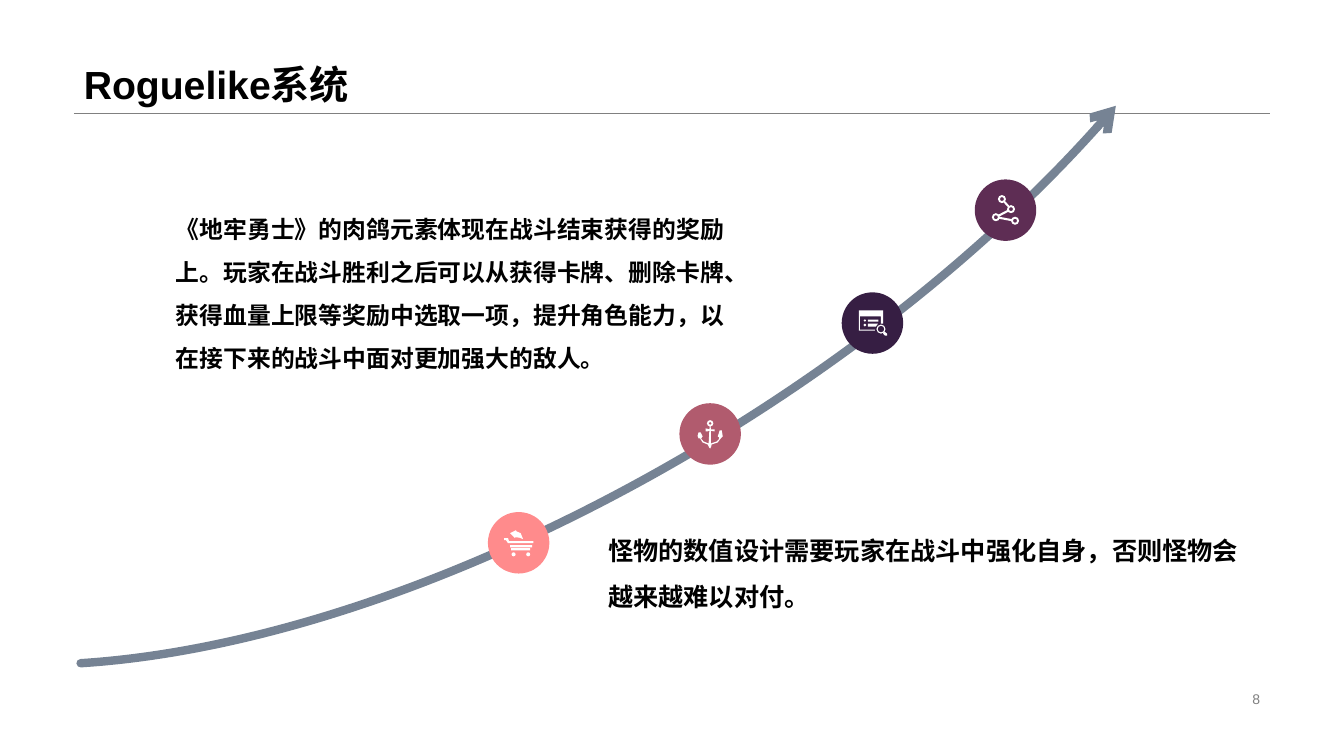
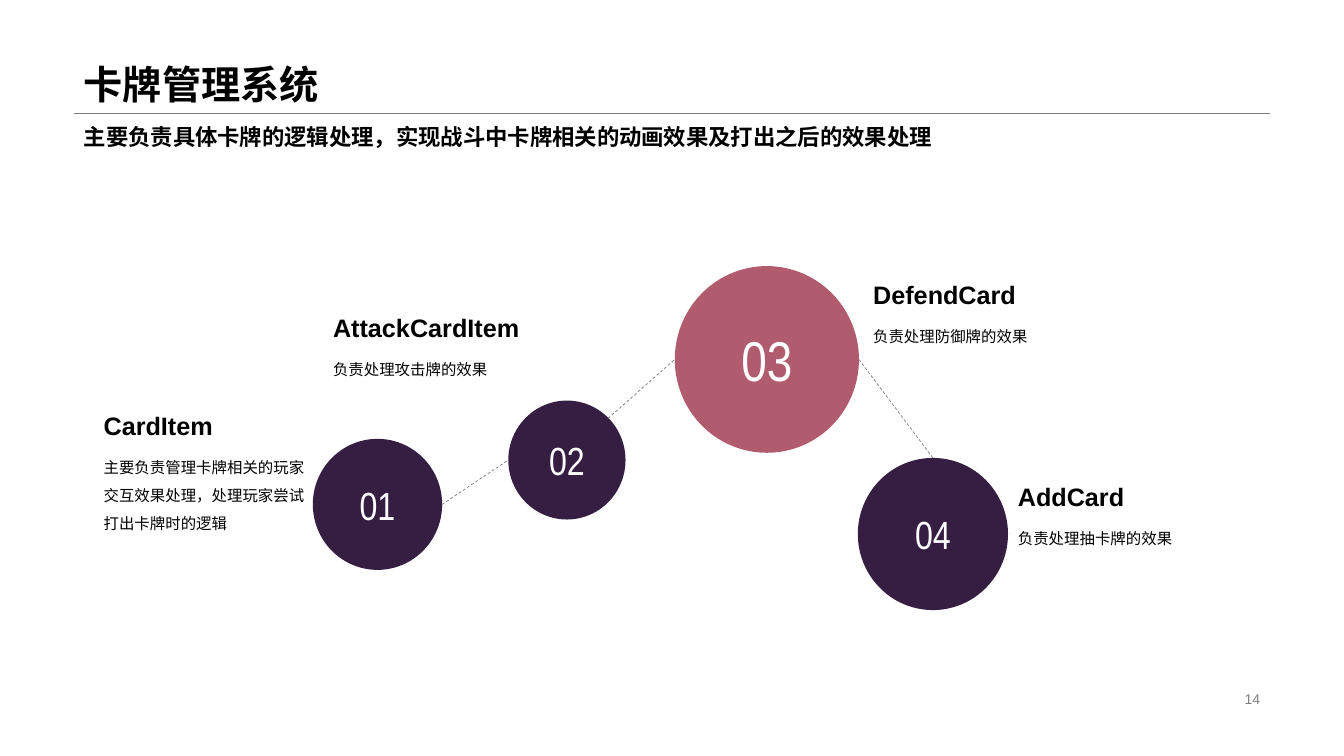
from lxml.etree import SubElement
from pptx import Presentation
from pptx.dml.color import RGBColor
from pptx.enum.dml import MSO_LINE
from pptx.enum.lang import MSO_LANGUAGE_ID
from pptx.enum.shapes import MSO_CONNECTOR, MSO_SHAPE
from pptx.enum.text import MSO_ANCHOR, PP_ALIGN
from pptx.oxml.ns import qn
from pptx.util import Inches, Pt

# Theme: colours and type styles
C = {name: RGBColor.from_string(value) for name, value in {
    "ink": "000000", "white": "FFFFFF", "gray": "808080", "slate": "768394",
    "plum": "5E2D54", "night": "361E43", "rose": "B15B6E", "coral": "FF8B8C"}.items()}
THEME = {
    "title": {"size": Pt(28), "bold": True, "color": "ink", "name": "Arial"},
    "subtitle": {"size": Pt(16), "bold": True, "color": "ink", "name": "Arial"},
    "lead": {"size": Pt(18), "bold": True, "color": "ink", "name": "Arial"},
    "body": {"size": Pt(17), "bold": True, "color": "ink", "name": "Arial"},
    "small": {"size": Pt(11), "color": "ink", "name": "Arial"},
    "footer": {"size": Pt(10), "color": "gray", "name": "Arial"},
    "number": {"size": Pt(28), "color": "white", "name": "Arial Narrow"},
    "big number": {"size": Pt(40), "color": "white", "name": "Arial Narrow"},
}

# Grid: 75 rows of square cells
prs = Presentation()
prs.slide_width, prs.slide_height = Inches(13.333), Inches(7.5)
CELL = prs.slide_height // 75
LEFT, RIGHT, RULE = 7.33, 126, 11.2


def write(sp, text, style, **paragraph):
    """Fill a shape, or a new box when sp is (slide, box), with one paragraph."""
    if isinstance(sp, tuple):
        s, box = sp
        sp = s.shapes.add_textbox(*(round(v * CELL) for v in box))
    tf = sp.text_frame
    tf.word_wrap = True
    p = tf.paragraphs[0]
    for key, value in paragraph.items():
        setattr(p, key, value)
    r = p.add_run()
    r.text = text
    r.font.language_id = MSO_LANGUAGE_ID.SIMPLIFIED_CHINESE
    for key, value in THEME[style].items():
        if key == "color":
            r.font.color.rgb = C[value]
        else:
            setattr(r.font, key, value)
    return tf


def trace(s, contours, close=True):
    """Draw one outline from (points, curved) contours; curved ones are cubics."""
    fb = None
    for points, _ in contours:
        pts = [(round(x * CELL), round(y * CELL)) for x, y in points]
        if fb is None:
            fb = s.shapes.build_freeform(*pts[0])
        else:
            fb.move_to(*pts[0])
        fb.add_line_segments(pts[1:], close=close)
    sp = fb.convert_to_shape()
    sp.shadow.inherit = False
    outline = next(sp._element.iter(qn("a:path")))
    contour = -1
    for step in list(outline):
        if step.tag == qn("a:moveTo"):
            contour, cubic = contour + 1, None
        elif step.tag == qn("a:lnTo") and contours[contour][1]:
            if cubic is None or len(cubic) == 3:
                cubic = SubElement(outline, qn("a:cubicBezTo"))
                step.addprevious(cubic)
            cubic.append(step[0])
            outline.remove(step)
    return sp


# Shared frame: title, rule and page number
slides = []
for title, page in (("Roguelike系统", "8"), ("卡牌管理系统", "14")):
    s = prs.slides.add_slide(prs.slide_layouts[6])
    ln = s.shapes.add_connector(MSO_CONNECTOR.STRAIGHT, *(
        round(v * CELL) for v in (LEFT, RULE, RIGHT, RULE)))
    ln.line.color.rgb, ln.line.width = C["gray"], Pt(0.25)
    SubElement(ln._element.spPr, qn("a:effectLst"))
    tf = write((s, (LEFT, 0, RIGHT - LEFT, RULE)), title, "title", line_spacing=0.9)
    tf.vertical_anchor = MSO_ANCHOR.BOTTOM
    tf = write((s, (94.2, 68.2, 31.8, 2.3)), page, "footer", alignment=PP_ALIGN.RIGHT)
    tf.vertical_anchor = MSO_ANCHOR.MIDDLE
    slides.append(s)

# Slide 1: growth curve
s = slides[0]
curve = [(110.7, 10.5), (85.9, 39.5), (41, 63.7), (8, 65.8)]
sp = trace(s, [(curve, True)], close=False)
sp.fill.background()
sp.line.color.rgb, sp.line.width = C["slate"], Pt(6)
ln = sp.line._get_or_add_ln()
ln.set("cap", "rnd")
SubElement(ln, qn("a:round"))
SubElement(ln, qn("a:headEnd"), type="arrow")

# Milestones: centre, colour, icon polygons and icon circles (x, y, radius),
# the icon in tenths of a cell from the centre; a circle in a circle is a hole
milestones = [
    ((99.75, 20.85), "plum",
     [[(-0.1, -8.7), (3.5, -4.7), (2.1, -3.3), (-1.5, -7.3)],
      [(2.5, 1.8), (-5.5, 6), (-6.5, 4.2), (1.5, 0)],
      [(-5.8, 8.7), (5.4, 10.8), (5.8, 8.8), (-5.4, 6.7)]],
     [(x, y, r) for x, y in ((-3.5, -11), (5.5, -1), (-9.5, 7), (9.5, 10.5))
      for r in (4, 2)]),
    ((86.55, 32.05), "night",
     [[(-13.5, -12.5), (10.5, -12.5), (10.5, 0.5), (8.5, 0.5), (8.5, -6.5),
       (-12.5, -6.5), (-12.5, 6.5), (2.5, 6.5), (2.5, 7.5), (-13.5, 7.5)],
      [(-4.5, -3.5), (6, -3.5), (6, -1.5), (-4.5, -1.5)],
      [(-4.5, 0.5), (5.5, 0.5), (3.5, 3.5), (-4.5, 3.5)],
      [(12.2, 8.7), (14.5, 10.5), (14.5, 12.5), (12.5, 12.5), (10.5, 10.5)]],
     [(-7.5, -2.5, 1.2), (-7.5, 2, 1.5), (8.5, 6, 4.5), (8.5, 6, 3.3)]),
    ((70.45, 43.05), "rose",
     [[(-0.5, -7.3), (0.5, -7.3), (0.7, -4.5), (4.5, -4.5), (4.5, -2.5), (0.7, -3),
       (0.7, 9.5), (6.5, 7.5), (8.5, 5.5), (9, 3.5), (7.5, 2.5), (9.5, -3.5),
       (11.5, -3.5), (12.5, 2.5), (10.5, 4.5), (7.5, 8.5), (1.5, 10.5), (1, 12.5),
       (0, 14.5), (-1, 13.5), (-2.5, 10.5), (-7.5, 8.5), (-10, 4.5), (-11.5, 4.5),
       (-12.5, 2), (-11.5, -1.5), (-9.5, -1.5), (-7.5, 2.5), (-9, 4.5), (-6.5, 7.5),
       (-1.5, 9.5), (-0.8, -3.2), (-2.5, -2.5), (-4.5, -2.5), (-4.5, -5.5),
       (-2.5, -5), (-0.7, -4.5)]],
     [(0, -10.5, 3.2), (0, -10.5, 1.6)]),
    ((51.45, 53.85), "coral",
     [[(-14.5, -4.5), (-10.5, -4.5), (-9.5, -1.5), (14.5, -1.5), (14.5, 0.5),
       (-10.5, 0.5), (-12.5, -2.5), (-14.5, -2.5)],
      [(-8.5, 2.5), (13.5, 2.5), (13.5, 4.5), (-8.5, 4.5)],
      [(-7.5, 5.5), (11.5, 5.5), (11.5, 7.5), (-7.5, 7.5)],
      [(-2.5, -12.5), (-2.5, -11.5), (2, -9.5), (4.5, -3.5), (1, -5),
       (-3.5, -5.5), (-3.5, -4.5), (-8.5, -9.5)]],
     [(-5, 11.5, 2), (9.5, 11.5, 2)]),
]
K = 0.55  # handle length of a quarter circle
CIRCLE = [(1, 0), (1, K), (K, 1), (0, 1), (-K, 1), (-1, K), (-1, 0),
          (-1, -K), (-K, -1), (0, -1), (K, -1), (1, -K), (1, 0)]
DISC = 6.1
for (cx, cy), color, polygons, circles in milestones:
    disc = s.shapes.add_shape(MSO_SHAPE.OVAL, *(
        round(v * CELL) for v in (cx - DISC / 2, cy - DISC / 2, DISC, DISC)))
    disc.shadow.inherit = False
    contours = [(pts, False) for pts in polygons]
    contours += [([(x + r * u, y + r * v) for u, v in CIRCLE], True) for x, y, r in circles]
    icon = trace(s, [([(cx + x / 10, cy + y / 10) for x, y in pts], curved)
                     for pts, curved in contours])
    for sp, fill in ((disc, color), (icon, "white")):
        sp.fill.solid()
        sp.fill.fore_color.rgb = C[fill]
        sp.line.fill.background()

# Slide 1: explanations
write((s, (16.45, 19.4, 56.7, 24.8)),
      "《地牢勇士》的肉鸽元素体现在战斗结束获得的奖励上。玩家在战斗胜利之后可以从获得卡牌、"
      "删除卡牌、获得血量上限等奖励中选取一项，提升角色能力，以在接下来的战斗中面对更加强大的敌人。",
      "body", line_spacing=1.5)
write((s, (59.34, 51.14, 66.7, 9.6)),
      "怪物的数值设计需要玩家在战斗中强化自身，否则怪物会越来越难以对付。",
      "lead", line_spacing=1.5)

# Slide 2: numbered circles, the largest in front
s = slides[1]
circles = {
    "01": ((31.03, 43.54, 12.83, 13), "night", "number"),
    "02": ((50.43, 39.74, 11.63, 11.8), "night", "number"),
    "04": ((85.1, 45.43, 14.9, 15.1), "night", "number"),
    "03": ((66.94, 26.4, 18.27, 18.52), "rose", "big number"),
}
for number, (box, color, style) in circles.items():
    sp = s.shapes.add_shape(MSO_SHAPE.OVAL, *(round(v * CELL) for v in box))
    sp.shadow.inherit = False
    sp.fill.solid()
    sp.fill.fore_color.rgb = C[color]
    sp.line.fill.background()
    tf = write(sp, number, style, alignment=PP_ALIGN.CENTER)
    tf.word_wrap, tf.vertical_anchor = False, MSO_ANCHOR.MIDDLE

# Dashed links between points on the circles, as shares of each circle's box
sides = {"left": (0, 0.5), "right": (1, 0.5), "top": (0.5, 0), "upper right": (0.85, 0.15)}
for link in ((("01", "right"), ("02", "left")),
             (("02", "upper right"), ("03", "left")),
             (("03", "right"), ("04", "top"))):
    ends = []
    for number, side in link:
        x, y, w, h = circles[number][0]
        fx, fy = sides[side]
        ends += [round((x + fx * w) * CELL), round((y + fy * h) * CELL)]
    ln = s.shapes.add_connector(MSO_CONNECTOR.STRAIGHT, *ends)
    ln.line.color.rgb, ln.line.width = C["gray"], Pt(0.5)
    ln.line.dash_style = MSO_LINE.DASH
    SubElement(ln._element.spPr, qn("a:effectLst"))

# Class names with their duties below
for x, y, width, height, name, duty in (
        (100, 47.3, 24, 6.1, "AddCard", "负责处理抽卡牌的效果"),
        (9.3, 40.23, 22.9, 10.4, "CardItem",
         "主要负责管理卡牌相关的玩家交互效果处理，处理玩家尝试打出卡牌时的逻辑"),
        (32.06, 30.53, 24, 6.1, "AttackCardItem", "负责处理攻击牌的效果"),
        (85.64, 27.2, 24, 6.1, "DefendCard", "负责处理防御牌的效果")):
    write((s, (x, y + 3.83, width, height)), duty, "small", line_spacing=1.5)
    write((s, (x, y, 24, 3.8)), name, "lead")

write((s, (LEFT, 11.7, 105.3, 3.7)),
      "主要负责具体卡牌的逻辑处理，实现战斗中卡牌相关的动画效果及打出之后的效果处理", "subtitle")

prs.save("out.pptx")
